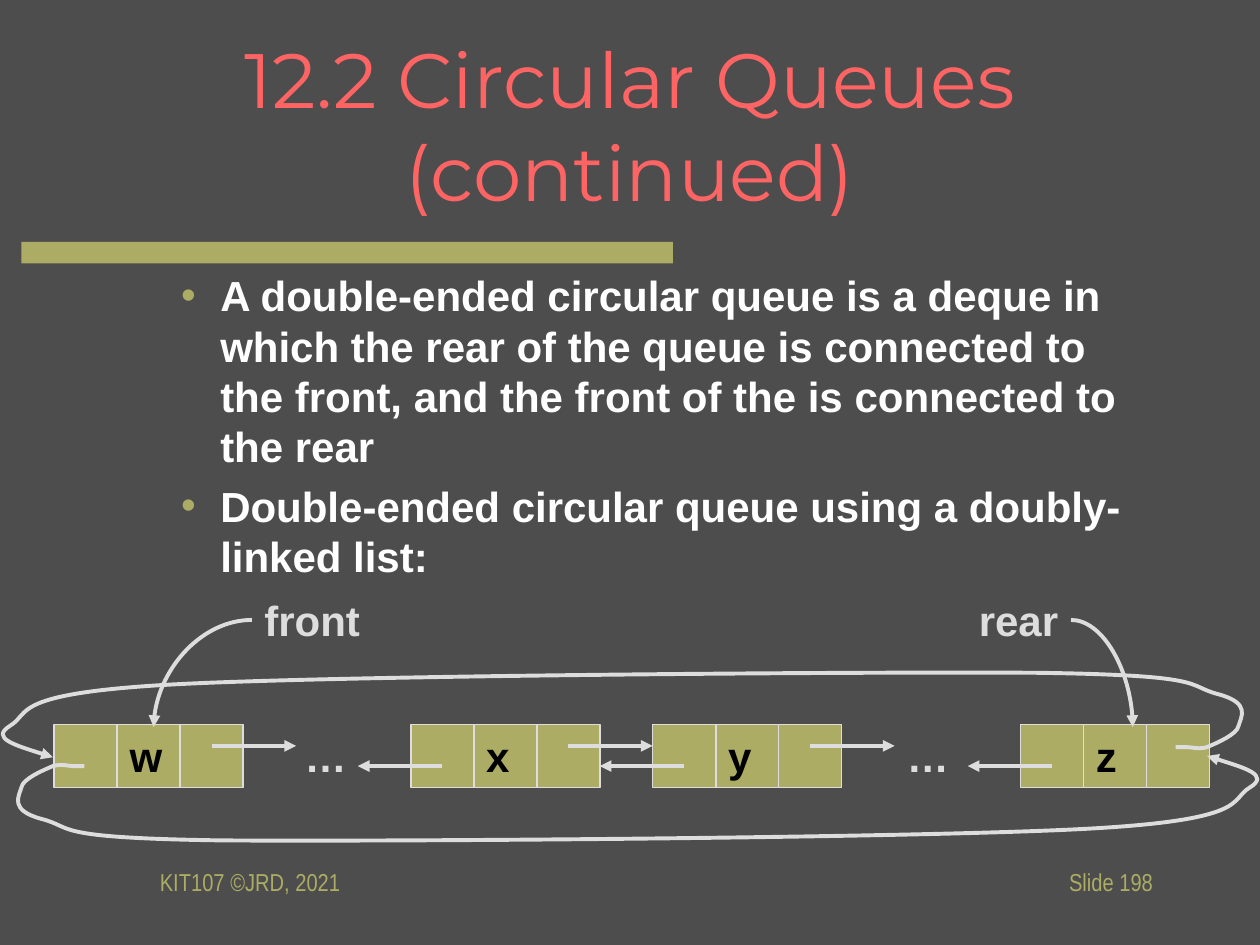
from pptx import Presentation
from pptx.dml.color import RGBColor
from pptx.enum.shapes import MSO_CONNECTOR as Link, MSO_SHAPE as Kind
from pptx.enum.text import MSO_ANCHOR as Anchor, PP_ALIGN as Align
from pptx.oxml.ns import qn
from pptx.util import Pt
from lxml.etree import SubElement as sub

PX = 9144
OLIVE, PALE, CORAL = "ACAC64", "DDDDDD", "FF6464"
WHITE, BLACK, SLATE = "FFFFFF", "000000", "4D4D4D"


def rgb(code):
    return RGBColor.from_string(code)


class Deck:
    """Draws styled elements on one slide, measured in px of 1/100 inch."""

    def __init__(self):
        self.file = Presentation()
        self.file.slide_width, self.file.slide_height = 1000 * PX, 750 * PX
        self.slide = self.file.slides.add_slide(self.file.slide_layouts[6])
        self.shapes = self.slide.shapes
        fill = self.slide.background.fill
        fill.solid()
        fill.fore_color.rgb = rgb(SLATE)

    def rect(self, x, y, w, h, edge=None):
        box = self.shapes.add_shape(Kind.RECTANGLE, x * PX, y * PX, w * PX, h * PX)
        box.shadow.inherit = False
        box.fill.solid()
        box.fill.fore_color.rgb = rgb(OLIVE)
        if edge:
            box.line.color.rgb = rgb(edge)
            box.line.width = Pt(1)
        else:
            box.line.fill.background()

    def text(self, x, y, w, h, words, size=24, color=PALE, font="Arial", bold=True,
             align=Align.LEFT, anchor=Anchor.TOP, wrap=False, bullet=False):
        frame = self.shapes.add_textbox(x * PX, y * PX, w * PX, h * PX).text_frame
        frame.word_wrap, frame.vertical_anchor = wrap, anchor
        frame.text = words
        for i, para in enumerate(frame.paragraphs):
            para.alignment = align
            if i:
                para.space_before = Pt(5)
            if bullet:
                self.bullet(para)
            for run in para.runs:
                run.font.name, run.font.size, run.font.bold = font, Pt(size), bold
                run.font.color.rgb = rgb(color)

    def bullet(self, para):
        prop = para._p.get_or_add_pPr()
        prop.set("marL", str(90 * PX))
        prop.set("indent", str(-31 * PX))
        sub(sub(prop, qn("a:buClr")), qn("a:srgbClr")).set("val", OLIVE)
        sub(prop, qn("a:buFont")).set("typeface", "Arial")
        sub(prop, qn("a:buChar")).set("char", "•")

    def stroke(self, item, width, tip):
        item.line.color.rgb = rgb(PALE)
        item.line.width = Pt(width)
        if tip:
            sub(item.line._get_or_add_ln(), qn("a:tailEnd")).set("type", "triangle")

    def line(self, x, y, to_x, to_y, width=2.25, tip=True, bend=False):
        kind = Link.CURVE if bend else Link.STRAIGHT
        wire = self.shapes.add_connector(kind, x * PX, y * PX, to_x * PX, to_y * PX)
        self.stroke(wire, width, tip)
        prop = wire._element.spPr
        sub(prop, qn("a:effectLst"))
        if bend:
            prop.find(qn("a:prstGeom")).set("prst", "curvedConnector2")

    def curve(self, points):
        pen = self.shapes.build_freeform(*points[0], scale=PX)
        pen.add_line_segments(points[1:], close=False)
        loop = pen.convert_to_shape()
        loop.shadow.inherit = False
        loop.fill.background()
        self.stroke(loop, 2.25, True)
        route = loop._element.spPr.find(".//" + qn("a:path"))
        steps = route.findall(qn("a:lnTo"))
        for i in range(0, len(steps), 3):
            arc = sub(route, qn("a:cubicBezTo"))
            for step in steps[i:i + 3]:
                arc.append(step[0])
                route.remove(step)

    def node(self, x, name, wide, back=True, ahead=True):
        self.rect(x + 50, 575, 100, 50, PALE)
        self.rect(x, 575, 100, 50, PALE)
        self.line(x + 50, 575, x + 50, 625, 1, False)
        if ahead:
            self.line(x + 125, 592, x + 192, 592)
        if back:
            self.line(x + 25, 608, x - 42, 608)
        self.text(x + 50, 575, wide, 50, name, color=BLACK)


def main():
    deck = Deck()
    deck.rect(17, 192, 517, 17)
    deck.text(75, 36, 850, 125, "12.2 Circular Queues (continued)", 44, CORAL,
              "Montserrat", False, Align.CENTER, Anchor.MIDDLE, True)
    deck.text(75, 229, 850, 217,
              "A double-ended circular queue is a deque in which the rear of the queue "
              "is connected to the front, and the front of the is connected to the rear\n"
              "Double-ended circular queue using a doubly-linked list:",
              color=WHITE, anchor=Anchor.MIDDLE, wrap=True, bullet=True)

    deck.node(43, "w", 46, back=False)
    deck.node(326, "x", 39)
    deck.node(518, "y", 39)
    deck.node(810, "z", 37, ahead=False)
    for x in (232, 710):
        deck.text(x, 575, 53, 50, "…")

    loop = [(67, 608), (65, 608), (62, 608), (58, 608), (54, 608), (49, 606), (42, 608),
            (35, 611), (18, 618), (17, 625), (15, 632), (7, 643), (33, 650),
            (60, 657), (38, 665), (175, 667), (312, 668), (722, 665), (858, 658),
            (994, 651), (975, 635), (992, 625), (1008, 615), (983, 608), (958, 600)]
    deck.curve(loop)
    deck.curve([(1000 - x, 1201 - y) for x, y in loop])

    for x, wide, name, start, end in ((200, 96, "front", 200, 122),
                                      (767, 83, "rear", 850, 899)):
        deck.text(x, 467, wide, 50, name)
        deck.line(start, 492, end, 577, bend=True)

    for x, words, align in ((117, "KIT107 ©JRD, 2021", Align.LEFT),
                            (717, "Slide 198", Align.RIGHT)):
        deck.text(x, 675, 208, 50, words, 14, OLIVE, "Arial Narrow", False,
                  align, Anchor.MIDDLE)
    deck.file.save("out.pptx")


if __name__ == "__main__":
    main()
